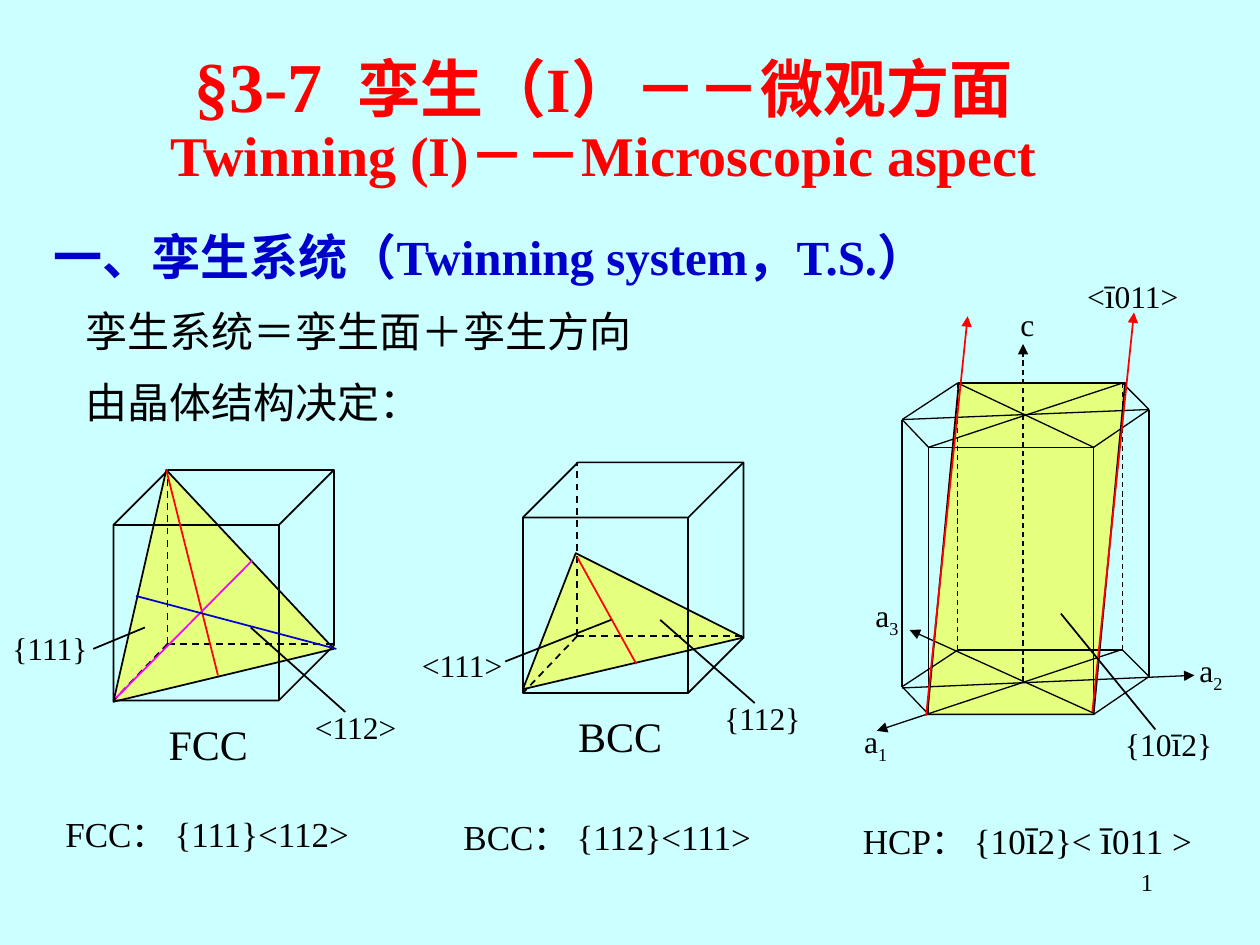
from lxml.etree import SubElement
from pptx import Presentation
from pptx.dml.color import RGBColor
from pptx.enum.dml import MSO_LINE
from pptx.enum.shapes import MSO_CONNECTOR, MSO_SHAPE
from pptx.enum.text import MSO_ANCHOR, MSO_AUTO_SIZE, PP_ALIGN
from pptx.oxml.ns import qn
from pptx.util import Inches, Pt

COLORS = {"back": "CCFFFF", "black": "000000", "red": "FF0000",
          "blue": "0000CC", "magenta": "FF00FF", "plane": "FFFF00"}


def rgb(name):
    return RGBColor.from_string(COLORS[name])


class Board:
    font = "Times New Roman"

    def __init__(self, slide):
        self.s = slide
        fill = slide.background.fill
        fill.solid()
        fill.fore_color.rgb = rgb("back")

    def text(self, box, paragraphs, color="black", bold=False, align=None,
             anchor=MSO_ANCHOR.TOP, wrap=True, spacing=None, before=0):
        sp = self.s.shapes.add_textbox(*[Inches(v) for v in box])
        tf = sp.text_frame
        tf.word_wrap = wrap
        tf.vertical_anchor = anchor
        if not wrap:
            tf.auto_size = MSO_AUTO_SIZE.SHAPE_TO_FIT_TEXT
        for i, runs in enumerate(paragraphs):
            p = tf.add_paragraph() if i else tf.paragraphs[0]
            p.alignment = align
            p.line_spacing = spacing
            if i:
                p.space_before = Pt(before)
            for text, size in runs:
                r = p.add_run()
                r.text = text
                r.font.name = self.font
                r.font.size = Pt(size)
                r.font.bold = bold
                r.font.color.rgb = rgb(color)
        return sp

    def label(self, x, y, text, size=18, w=0.92, h=0.4):
        self.text((x, y, w, h), [[(text, size)]])

    def axis(self, x, y, number):
        sp = self.text((x, y, 0.5, 0.44), [[("a", 18), (number, 18)]])
        r = sp.text_frame.paragraphs[0].runs[1]
        r.font._element.set("baseline", "-25000")

    def line(self, start, end, color="black", width=1.0, dash=False, arrow=False):
        ends = [Inches(v) for v in (*start, *end)]
        c = self.s.shapes.add_connector(MSO_CONNECTOR.STRAIGHT, *ends)
        c.line.color.rgb = rgb(color)
        c.line.width = Pt(width)
        if dash:
            c.line.dash_style = MSO_LINE.DASH
        if arrow:
            SubElement(c.line._get_or_add_ln(), qn("a:tailEnd"), type="triangle")
        SubElement(c._element.spPr, qn("a:effectLst"))

    def plane(self, points):
        pts = [(Inches(x), Inches(y)) for x, y in points]
        fb = self.s.shapes.build_freeform(*pts[0])
        fb.add_line_segments(pts[1:], close=True)
        sp = fb.convert_to_shape()
        sp.shadow.inherit = False
        sp.fill.solid()
        sp.fill.fore_color.rgb = rgb("plane")
        clr = sp._element.spPr.find(qn("a:solidFill")).find(qn("a:srgbClr"))
        SubElement(clr, qn("a:alpha"), val="50000")
        sp.line.color.rgb = rgb("black")
        sp.line.width = Pt(1)

    def cube(self, x, y, name):
        box = [Inches(v) for v in (x, y, 1.75, 1.83)]
        sp = self.s.shapes.add_shape(MSO_SHAPE.CUBE, *box)
        sp.adjustments[0] = 0.25
        sp.shadow.inherit = False
        sp.fill.background()
        sp.line.color.rgb = rgb("black")
        sp.line.width = Pt(1)
        corner = (x + 0.43, y + 1.38)
        for end in ((x + 0.43, y), (x + 1.75, y + 1.38), (x, y + 1.83)):
            self.line(corner, end, dash=True)
        self.label(x + 0.34, y + 1.92, name, 24, h=0.5)


def draw_fcc(b):
    b.plane([(1.32, 3.73), (0.9, 5.57), (2.65, 5.15)])
    b.cube(0.9, 3.73, "FCC")
    b.line((1.32, 3.73), (1.73, 5.36), "red")
    b.line((0.92, 5.54), (2, 4.45), "magenta")
    b.line((2.67, 5.15), (1.08, 4.73), "blue")
    b.label(0, 4.94, "{111}")
    b.line((0.74, 5.15), (1.15, 4.98))
    b.label(2.4, 5.57, "<112>")
    b.line((2.74, 5.65), (1.99, 4.98))


def draw_bcc(b):
    b.plane([(4.15, 5.47), (4.57, 4.39), (5.9, 5.06)])
    b.cube(4.15, 3.67, "BCC")
    b.line((4.58, 4.42), (5.05, 5.27), "red")
    b.label(3.25, 5.08, "<111>")
    b.line((4.01, 5.25), (4.85, 4.92))
    b.label(5.65, 5.5, "{112}")
    b.line((5.99, 5.58), (5.24, 4.92))


def draw_hcp(b):
    b.plane([(7.36, 5.67), (7.61, 3.04), (8.93, 3.04), (8.68, 5.67)])
    height, thin = 2.12, 0.75
    top = [(7.6, 3.04), (8.91, 3.04), (9.12, 3.25),
           (8.68, 3.55), (7.37, 3.55), (7.16, 3.33)]
    bottom = [(x, y + height) for x, y in top]
    for ring in (top, bottom):
        for start, end in zip(ring, ring[1:] + ring[:1]):
            b.line(start, end, width=thin)
    for i, (start, end) in enumerate(zip(top, bottom)):
        b.line(start, end, width=thin, dash=i < 2)
    for i in range(3):
        b.line(top[i], top[i + 3], width=thin)
    for start, end in (((7.16, 5.46), (9.48, 5.36)),
                       ((8.68, 5.66), (7.22, 5)),
                       ((8.89, 5.16), (6.96, 5.8))):
        b.line(start, end, width=thin, arrow=True)
    b.line((8.12, 5.41), (8.12, 2.73), width=thin, dash=True, arrow=True)
    b.label(8, 2.37, "c", w=0.5)
    for x, y, number in ((6.76, 5.68, "1"), (9.42, 5.12, "2"), (6.85, 4.68, "3")):
        b.axis(x, y, number)
    for x, y in ((7.35, 5.68), (8.67, 5.65)):
        b.line((x, y), (x + 0.33, y - 3.17), "red", arrow=True)
    b.text((8.53, 2.12, 0.93, 0.44),
           [[("<", 18), ("ī", 20), ("011>", 18)]], wrap=False)
    b.text((8.83, 5.68, 0.89, 0.44),
           [[("{10", 18), ("ī", 20), ("2}", 18)]], wrap=False)
    b.line((8.42, 4.87), (9.17, 5.79))


def main():
    prs = Presentation()
    prs.slide_width, prs.slide_height = Inches(10), Inches(7.5)
    b = Board(prs.slides.add_slide(prs.slide_layouts[6]))
    b.text((7.17, 6.83, 2.08, 0.5), [[("1", 14)]], align=PP_ALIGN.RIGHT)
    b.text((0.33, 0.33, 8.92, 1.25),
           [[("§3-7  ", 40), ("孪生（I）－－微观方面", 36)],
            [("Twinning (I)－－Microscopic aspect", 32)]],
           "red", True, PP_ALIGN.CENTER, MSO_ANCHOR.MIDDLE, spacing=0.9)
    b.text((0.58, 2.42, 6.83, 1.03),
           [[("孪生系统＝孪生面＋孪生方向", 24)], [("由晶体结构决定：", 24)]],
           spacing=0.9, before=15)
    b.text((0.33, 1.75, 8.08, 0.57),
           [[("一、孪生系统（Twinning system，T.S.）", 28)]], "blue", True)
    draw_fcc(b)
    draw_bcc(b)
    draw_hcp(b)
    b.label(0.42, 6.4, "FCC： {111}<112>", 20, 2.58, 0.77)
    b.label(3.58, 6.42, "BCC： {112}<111>", 20, 2.67, 0.44)
    b.text((6.75, 6.4, 3, 0.5),
           [[("HCP： {10", 20), ("ī", 24), ("2}< ", 20), ("ī", 24), ("011 >", 20)]])
    prs.save("out.pptx")


if __name__ == "__main__":
    main()
